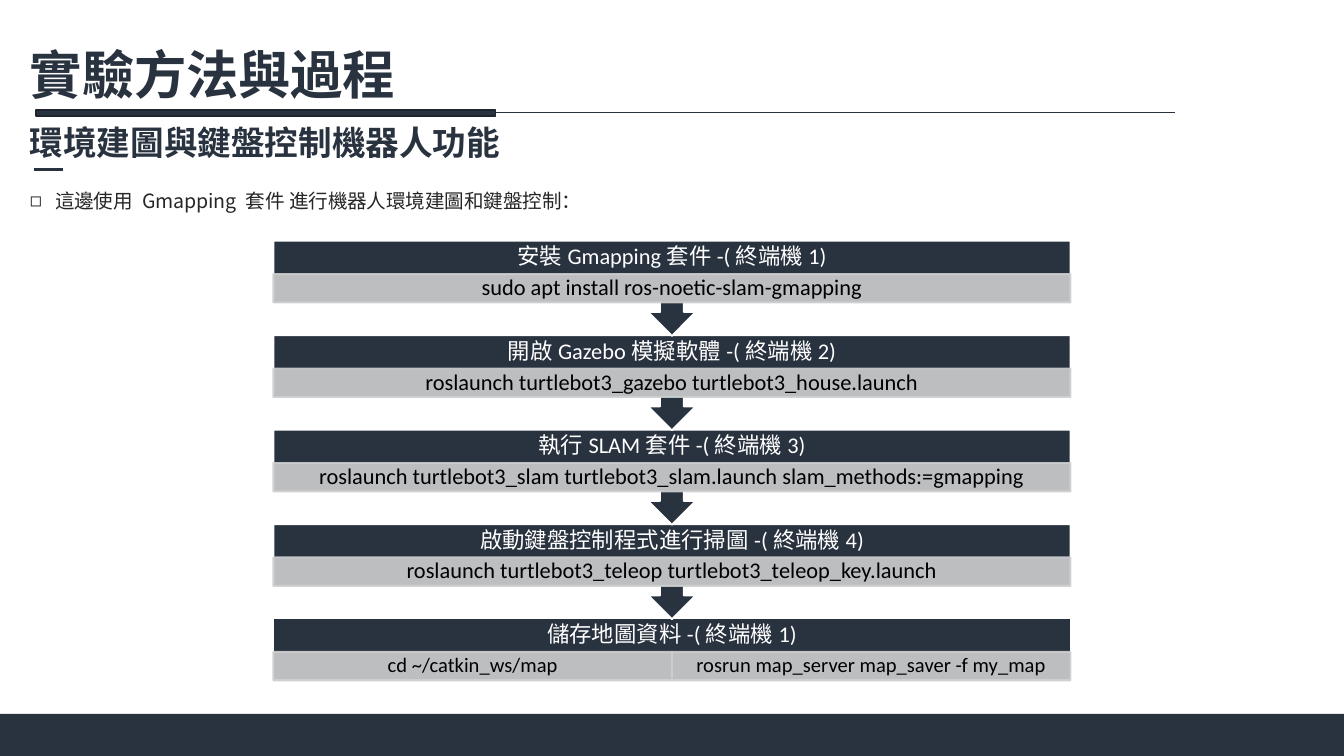
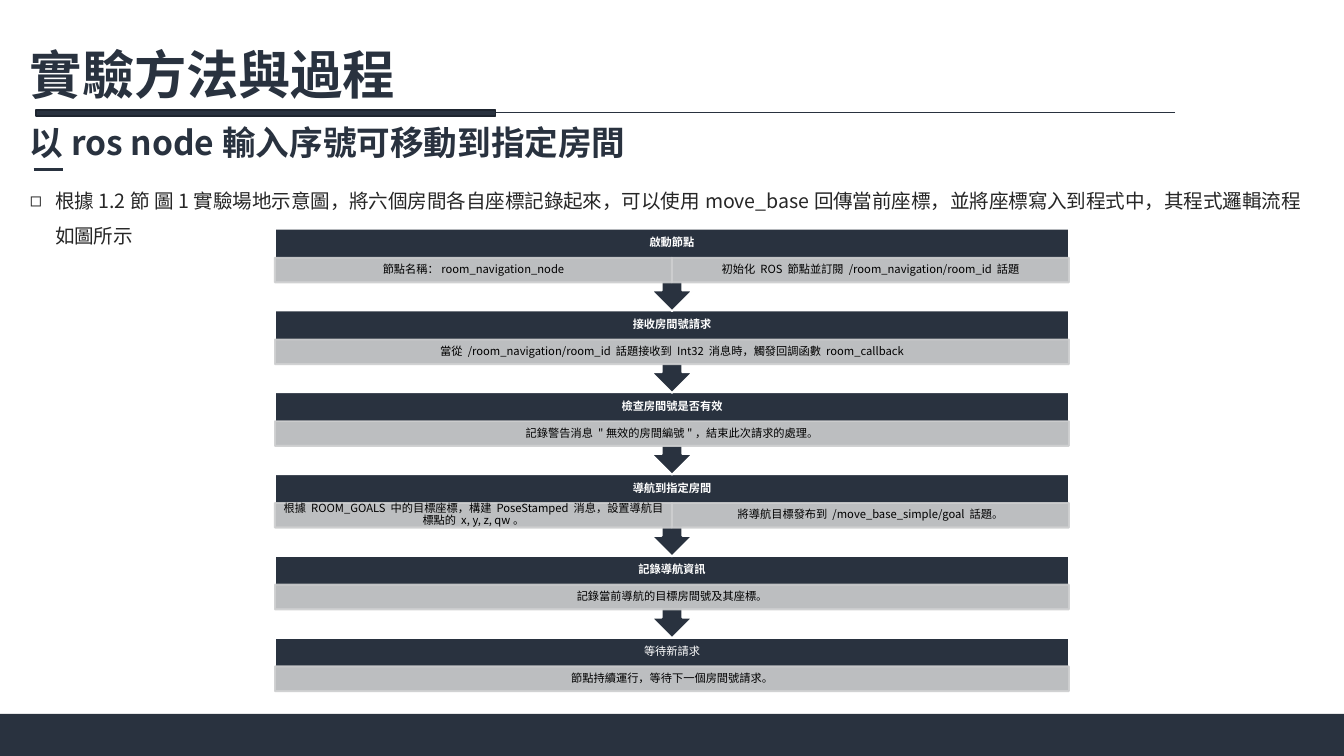
"""Build two slides on robot mapping and room navigation."""
from dataclasses import dataclass

from lxml import etree
from pptx import Presentation
from pptx.dml.color import RGBColor
from pptx.enum.shapes import MSO_CONNECTOR, MSO_SHAPE
from pptx.enum.text import MSO_ANCHOR, MSO_AUTO_SIZE, PP_ALIGN
from pptx.oxml.ns import qn
from pptx.util import Pt


@dataclass(frozen=True)
class Theme:
    navy: str = "29323F"
    navy_edge: str = "1E252F"
    white: str = "FFFFFF"
    black: str = "000000"
    body_text: str = "262626"
    detail_fill: str = "CDCECF"
    detail_alpha: int = 90000
    cjk_font: str = "Noto Sans CJK SC"
    latin_font: str = "Calibri"
    title_size: float = 28
    subtitle_size: float = 18
    body_size: float = 10.5
    step_size: float = 12
    split_size: float = 11
    small_size: float = 6


@dataclass(frozen=True)
class Step:
    heading: str
    details: tuple
    bold: bool = True


@dataclass(frozen=True)
class Flow:
    top: float
    pitch: float
    width: float
    font: str
    size: float
    split_size: float
    side_inset: float
    steps: tuple


class Deck:
    def __init__(self, theme):
        self.theme = theme
        self.presentation = Presentation()
        self.presentation.slide_width = Pt(720)
        self.presentation.slide_height = Pt(405)
        self.slide = None

    def start_slide(self, subtitle, body, body_height):
        theme = self.theme
        self.slide = self.presentation.slides.add_slide(self.presentation.slide_layouts[1])
        self.box(MSO_SHAPE.RECTANGLE, (0, 382.4, 720, 22.6), theme.navy)
        self.line(629.5, 19.5, 60.5, theme.navy, 0.5)
        self.box(MSO_SHAPE.RECTANGLE, (19.5, 58.8, 246, 3.6), theme.navy, theme.navy_edge)
        title = self.slide.shapes.title
        self.place(title, (8.8, 18.9, 272, 41))
        self.add_text(title, "實驗方法與過程", theme.title_size, theme.navy, bold=True,
                      align=PP_ALIGN.JUSTIFY)
        heading = self.slide.shapes.add_textbox(0, 0, 0, 0)
        self.place(heading, (8.8, 61.9, 345, 28.8))
        self.add_text(heading, subtitle, theme.subtitle_size, theme.navy, bold=True)
        self.line(18, 33.8, 90.8, theme.navy, 1.5)
        self.bullet(body, body_height)

    def place(self, shape, bounds):
        shape.left, shape.top, shape.width, shape.height = map(Pt, bounds)
        frame = shape.text_frame
        frame.word_wrap = True
        frame.auto_size = MSO_AUTO_SIZE.NONE
        frame.vertical_anchor = MSO_ANCHOR.TOP

    def add_text(self, shape, text, size, color, font=None, bold=False,
                 align=PP_ALIGN.LEFT, spacing=1.0):
        paragraph = shape.text_frame.paragraphs[0]
        paragraph.alignment = align
        paragraph.line_spacing = spacing
        paragraph.space_before = Pt(0)
        run = paragraph.add_run()
        run.text = text
        run.font.size = Pt(size)
        run.font.bold = bold
        run.font.color.rgb = RGBColor.from_string(color)
        run.font.name = font or self.theme.cjk_font
        east_asian = etree.SubElement(run.font._element, qn("a:ea"))
        east_asian.set("typeface", self.theme.cjk_font)

    def bullet(self, text, height):
        body = self.slide.placeholders[1]
        self.place(body, (8.8, 91.4, 701, height))
        properties = body.text_frame.paragraphs[0]._p.get_or_add_pPr()
        properties.set("marL", str(Pt(13.5)))
        properties.set("indent", str(Pt(-13.5)))
        etree.SubElement(properties, qn("a:buChar")).set("char", "◻")
        self.add_text(body, text, self.theme.body_size, self.theme.body_text, spacing=1.5)

    def line(self, left, right, y, color, width):
        connector = self.slide.shapes.add_connector(
            MSO_CONNECTOR.STRAIGHT, Pt(left), Pt(y), Pt(right), Pt(y))
        connector.line.color.rgb = RGBColor.from_string(color)
        connector.line.width = Pt(width)
        etree.SubElement(connector._element.spPr, qn("a:effectLst"))

    def box(self, kind, bounds, fill, edge=None, alpha=None):
        shape = self.slide.shapes.add_shape(kind, *map(Pt, bounds))
        shape.shadow.inherit = False
        shape.fill.solid()
        shape.fill.fore_color.rgb = RGBColor.from_string(fill)
        if edge:
            shape.line.color.rgb = RGBColor.from_string(edge)
            shape.line.width = Pt(1)
        else:
            shape.line.fill.background()
        if alpha:
            for color in shape._element.spPr.iter(qn("a:srgbClr")):
                etree.SubElement(color, qn("a:alpha")).set("val", str(alpha))
        return shape

    def label(self, shape, text, size, color, font, side, bottom=0, bold=False):
        frame = shape.text_frame
        frame.word_wrap = True
        frame.vertical_anchor = MSO_ANCHOR.MIDDLE
        frame.margin_left = frame.margin_right = Pt(side)
        frame.margin_top, frame.margin_bottom = 0, Pt(bottom)
        self.add_text(shape, text, size, color, font, bold, PP_ALIGN.CENTER, 0.9)

    def flow(self, flow):
        theme = self.theme
        left = (720 - flow.width) / 2
        callout_height = flow.pitch * 1.007
        body_height, heading_height, detail_height = (
            callout_height * share for share in (0.65, 0.35, 0.3))
        last = len(flow.steps) - 1
        for index, step in reversed(list(enumerate(flow.steps))):
            top = flow.top + index * flow.pitch
            kind, height = MSO_SHAPE.DOWN_ARROW_CALLOUT, callout_height
            if index == last:
                kind, height = MSO_SHAPE.RECTANGLE, body_height
            block = self.box(kind, (left, top, flow.width, height), theme.navy, theme.white)
            self.label(block, step.heading, flow.size, theme.white, flow.font,
                       flow.side_inset, body_height - heading_height, step.bold)
            cell_width = flow.width / len(step.details)
            size = flow.size if len(step.details) == 1 else flow.split_size
            for column, detail in enumerate(step.details):
                bounds = (left + column * cell_width, top + heading_height,
                          cell_width, detail_height)
                cell = self.box(MSO_SHAPE.RECTANGLE, bounds, theme.detail_fill,
                                theme.detail_fill, theme.detail_alpha)
                self.label(cell, detail, size, theme.black, flow.font, flow.side_inset)


def main():
    theme = Theme()
    deck = Deck(theme)
    deck.start_slide("環境建圖與鍵盤控制機器人功能",
                     "這邊使用 Gmapping 套件 進行機器人環境建圖和鍵盤控制：", 23.8)
    deck.flow(Flow(129, 50.6, 427, theme.latin_font, theme.step_size, theme.split_size, 6.5, (
        Step("安裝Gmapping套件-(終端機1)", ("sudo apt install ros-noetic-slam-gmapping",), False),
        Step("開啟Gazebo模擬軟體-(終端機2)",
             ("roslaunch turtlebot3_gazebo turtlebot3_house.launch",), False),
        Step("執行SLAM套件-(終端機3)",
             ("roslaunch turtlebot3_slam turtlebot3_slam.launch slam_methods:=gmapping",), False),
        Step("啟動鍵盤控制程式進行掃圖-(終端機4)",
             ("roslaunch turtlebot3_teleop turtlebot3_teleop_key.launch",), False),
        Step("儲存地圖資料-(終端機1)",
             ("cd ~/catkin_ws/map", "rosrun map_server map_saver -f my_map"), False),
    )))
    deck.start_slide("以ros node輸入序號可移動到指定房間",
                     "根據1.2節 圖1實驗場地示意圖，將六個房間各自座標記錄起來，可以使用move_base"
                     "回傳當前座標，並將座標寫入到程式中，其程式邏輯流程如圖所示", 43.2)
    deck.flow(Flow(122.6, 43.8, 425.4, theme.cjk_font, theme.small_size, theme.small_size, 3.6, (
        Step("啟動節點", ("節點名稱：room_navigation_node",
                      "初始化 ROS 節點並訂閱 /room_navigation/room_id 話題")),
        Step("接收房間號請求",
             ("當從 /room_navigation/room_id 話題接收到 Int32 消息時，觸發回調函數 room_callback",)),
        Step("檢查房間號是否有效", ('記錄警告消息 "無效的房間編號"，結束此次請求的處理。',)),
        Step("導航到指定房間",
             ("根據 ROOM_GOALS 中的目標座標，構建 PoseStamped 消息，設置導航目標點的 x, y, z, qw。",
              "將導航目標發布到 /move_base_simple/goal 話題。")),
        Step("記錄導航資訊", ("記錄當前導航的目標房間號及其座標。",)),
        Step("等待新請求", ("節點持續運行，等待下一個房間號請求。",), False),
    )))
    deck.presentation.save("out.pptx")


if __name__ == "__main__":
    main()
